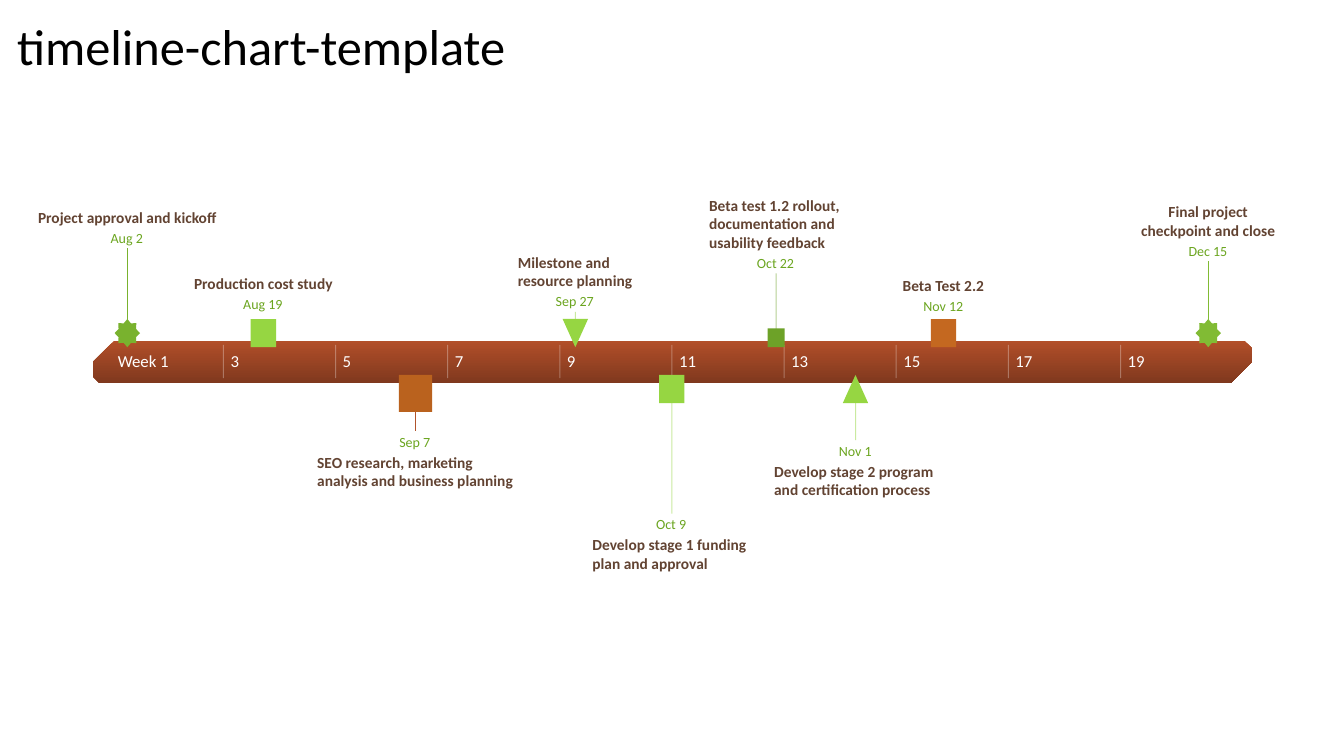
from lxml.etree import SubElement
from pptx import Presentation
from pptx.dml.color import RGBColor
from pptx.enum.shapes import MSO_CONNECTOR, MSO_SHAPE as SHAPE
from pptx.enum.text import MSO_ANCHOR, PP_ALIGN as ALIGN
from pptx.oxml.ns import qn
from pptx.util import Cm, Pt

TITLE = "timeline-chart-template"
FONT = "Calibri"
COLORS = {
    "black": "000000", "white": "FFFFFF", "title": "624332", "date": "6BA51F",
    "bar top": "B24F29", "bar bottom": "7F381E", "lime": "96D642",
    "leaf": "79B22E", "grass": "81BB34", "moss": "6DA228",
    "orange": "C46820", "copper": "BA621E", "rust": "B1542C",
}
WEEKS = ["Week 1", "3", "5", "7", "9", "11", "13", "15", "17", "19"]

# title, lines, title width, alignment, date, date width, date top, centre x
LABELS = [
    ("Project approval and kickoff", 1, 4.52, ALIGN.CENTER, "Aug 2", 0.84, 5.77, 3.21),
    ("Production cost study", 1, 3.5, ALIGN.LEFT, "Aug 19", 1.02, 7.44, 6.64),
    ("Milestone and resource planning", 2, 2.9, ALIGN.LEFT, "Sep 27", 0.99, 7.37, 14.5),
    ("Beta test 1.2 rollout, documentation and usability feedback", 3, 3.38, ALIGN.LEFT,
     "Oct 22", 0.97, 6.4, 19.56),
    ("Beta Test 2.2", 1, 2.06, ALIGN.LEFT, "Nov 12", 1.02, 7.49, 23.78),
    ("Final project checkpoint and close", 2, 3.4, ALIGN.CENTER, "Dec 15", 0.99, 6.1, 30.45),
    ("SEO research, marketing analysis and business planning", 2, 4.95, ALIGN.LEFT,
     "Sep 7", 0.81, 10.92, 10.47),
    ("Develop stage 1 funding plan and approval", 2, 4, ALIGN.LEFT, "Oct 9", 0.79, 13, 16.93),
    ("Develop stage 2 program and certification process", 2, 4.1, ALIGN.LEFT,
     "Nov 1", 0.84, 11.15, 21.56),
]
# shape, width, colour, stem colour, stem opacity in percent
MARKERS = [
    (SHAPE.STAR_8_POINT, 0.64, "leaf", "leaf", 100),
    (SHAPE.RECTANGLE, 0.64, "lime", None, 0),
    (SHAPE.ISOSCELES_TRIANGLE, 0.64, "lime", "lime", 50),
    (SHAPE.RECTANGLE, 0.43, "moss", "moss", 50),
    (SHAPE.RECTANGLE, 0.64, "orange", None, 0),
    (SHAPE.STAR_8_POINT, 0.64, "grass", "grass", 100),
    (SHAPE.RECTANGLE, 0.84, "copper", "rust", 100),
    (SHAPE.RECTANGLE, 0.64, "lime", "lime", 50),
    (SHAPE.ISOSCELES_TRIANGLE, 0.64, "lime", "lime", 50),
]
BAR = (2.34, 8.59, 29.21, 1.07)
BAR_MIDDLE = 9.1
UPPER_BOTTOM, LOWER_TOP = 8.75, 9.45
MARKER_RATIO = 1.11
LINE_H, DATE_H, GAP = 0.47, 0.43, 0.06
FIRST_TICK, TICK_STEP = 5.63, 2.826


def rgb(name):
    return RGBColor.from_string(COLORS[name])


def box(left, top, width, height):
    return Cm(left), Cm(top), Cm(width), Cm(height)


def add_line(s, x, y1, y2, color, opacity):
    line = s.shapes.add_connector(MSO_CONNECTOR.STRAIGHT, Cm(x), Cm(y1), Cm(x), Cm(y2))
    line.line.width = Pt(0.75)
    line.line.color.rgb = rgb(color)
    spPr = line._element.spPr
    SubElement(spPr, qn("a:effectLst"))
    if opacity < 100:
        srgb = spPr.find(".//" + qn("a:srgbClr"))
        SubElement(srgb, qn("a:alpha"), val=str(opacity * 1000))


def add_text(s, area, text, size, color, bold=False, align=ALIGN.LEFT, wrap=False):
    tf = s.shapes.add_textbox(*box(*area)).text_frame
    tf.margin_left = tf.margin_right = tf.margin_top = tf.margin_bottom = 0
    tf.word_wrap = wrap
    tf.vertical_anchor = MSO_ANCHOR.MIDDLE
    p = tf.paragraphs[0]
    p.text, p.alignment = text, align
    p.font.name, p.font.size, p.font.bold = FONT, Pt(size), bold
    p.font.color.rgb = rgb(color)


def add_bar(s):
    bar = s.shapes.add_shape(SHAPE.SNIP_2_DIAG_RECTANGLE, *box(*BAR))
    bar.adjustments[0], bar.adjustments[1] = 0.5, 0.167
    bar.shadow.inherit = False
    bar.line.fill.background()
    bar.fill.gradient()
    bar.fill.gradient_angle = 270
    for stop, (position, color) in zip(bar.fill.gradient_stops, [(0, "bar top"), (1, "bar bottom")]):
        stop.position, stop.color.rgb = position, rgb(color)


def add_weeks(s):
    for i, week in enumerate(WEEKS):
        x = FIRST_TICK + (i - 1) * TICK_STEP
        if i:
            add_line(s, x, 8.69, 9.53, "white", 30)
        left = x + 0.18 if i else 2.97
        width = 0.215 * len(week)
        add_text(s, (left, BAR_MIDDLE - 0.26, width, 0.52), week, 12, "white")


def add_stem(s, label, marker):
    date_top, x = label[-2:]
    width, color, opacity = marker[1], marker[3], marker[4]
    half = width * MARKER_RATIO / 2
    if color and date_top < BAR_MIDDLE:
        add_line(s, x, date_top + DATE_H + GAP, UPPER_BOTTOM - half, color, opacity)
    elif color:
        add_line(s, x, LOWER_TOP + half, date_top - GAP, color, opacity)


def add_milestone(s, label, marker):
    title, lines, title_w, align, date, date_w, date_top, x = label
    shape, width, color = marker[:3]
    above = date_top < BAR_MIDDLE
    title_h, height = lines * LINE_H, width * MARKER_RATIO
    title_top = date_top - GAP - title_h if above else date_top + DATE_H + GAP
    add_text(s, (x - title_w / 2, title_top, title_w, title_h), title, 11, "title",
             True, align, lines > 1)
    add_text(s, (x - date_w / 2, date_top, date_w, DATE_H), date, 10, "date")
    top = UPPER_BOTTOM - height if above else LOWER_TOP
    m = s.shapes.add_shape(shape, *box(x - width / 2, top, width, height))
    m.shadow.inherit = False
    m.fill.solid()
    m.fill.fore_color.rgb = rgb(color)
    m.line.fill.background()
    if above and shape == SHAPE.ISOSCELES_TRIANGLE:
        m._element.spPr.find(qn("a:xfrm")).set("flipV", "1")


def main():
    """Build the project timeline slide."""
    prs = Presentation()
    prs.slide_width, prs.slide_height = Cm(33.87), Cm(19.05)
    s = prs.slides.add_slide(prs.slide_layouts[6])
    milestones = list(zip(LABELS, MARKERS))
    for label, marker in milestones:
        add_stem(s, label, marker)
    add_bar(s)
    add_weeks(s)
    for label, marker in milestones:
        add_milestone(s, label, marker)
    add_text(s, (0.43, 0.38, 20.04, 1.55), TITLE, 36, "black")
    prs.save("out.pptx")


if __name__ == "__main__":
    main()
